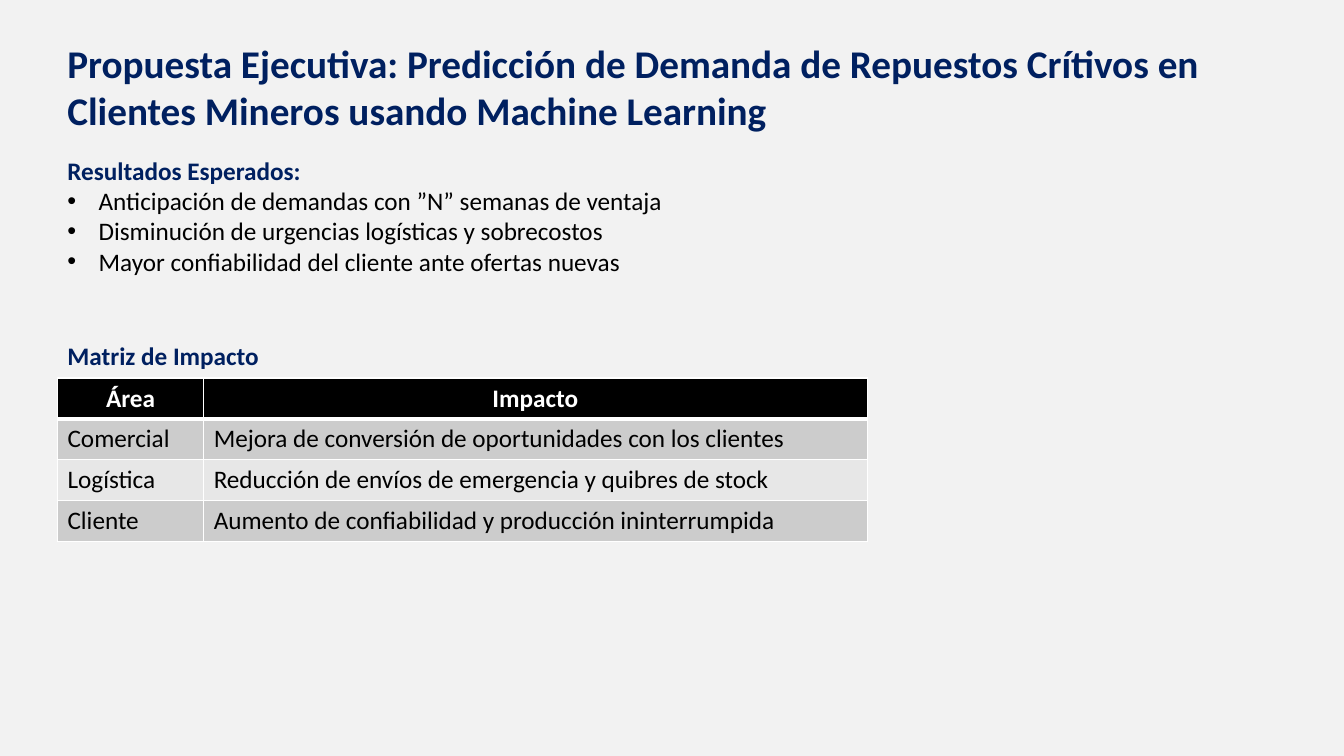
from lxml import etree
from pptx import Presentation
from pptx.dml.color import RGBColor
from pptx.enum.text import MSO_ANCHOR, MSO_AUTO_SIZE, PP_ALIGN
from pptx.oxml.ns import qn
from pptx.util import Emu, Pt

PX = 9144
POINT = 12700
BLANK_LAYOUT = 6
LEFT, CENTER = PP_ALIGN.LEFT, PP_ALIGN.CENTER
TOP = MSO_ANCHOR.TOP
GROW = MSO_AUTO_SIZE.SHAPE_TO_FIT_TEXT

NAVY, BLACK, WHITE = "002060", "000000", "FFFFFF"
BACKGROUND = "F2F2F2"
BANDS = ["CCCCCC", "E7E7E7"]

TITLE_FORMAT = {"size": Pt(28), "bold": True}
HEADING_FORMAT = {"size": Pt(18), "bold": True}
BODY_FORMAT = {"size": Pt(18), "bold": False}

TITLE = ("Propuesta Ejecutiva: Predicción de Demanda de Repuestos Crítivos en "
         "Clientes Mineros usando Machine Learning")
RESULTS = [
    "Anticipación de demandas con ”N” semanas de ventaja",
    "Disminución de urgencias logísticas y sobrecostos",
    "Mayor confiabilidad del cliente ante ofertas nuevas",
]
IMPACTS = [
    ("Área", "Impacto"),
    ("Comercial", "Mejora de conversión de oportunidades con los clientes"),
    ("Logística", "Reducción de envíos de emergencia y quibres de stock"),
    ("Cliente", "Aumento de confiabilidad y producción ininterrumpida"),
]
COLUMN_WIDTHS = [145, 658]


def px(length):
    return Emu(length * PX)


def color(value):
    return RGBColor.from_string(value)


def write(para, text, values, ink, align=LEFT):
    para.alignment = align
    span = para.add_run()
    span.text = text
    span.font.name = "Calibri"
    span.font.color.rgb = color(ink)
    for name, value in values.items():
        setattr(span.font, name, value)


def add_bullet(para):
    properties = para._p.get_or_add_pPr()
    indent = px(31)
    properties.set("marL", str(indent))
    properties.set("indent", str(-indent))
    etree.SubElement(properties, qn("a:buFont"), typeface="Arial")
    etree.SubElement(properties, qn("a:buChar"), char="•")


def add_text(page, box, heading, values, bullets=(), wrap=False):
    frame = page.shapes.add_textbox(*map(px, box)).text_frame
    settings = {"word_wrap": wrap, "auto_size": GROW, "vertical_anchor": TOP}
    for name, value in settings.items():
        setattr(frame, name, value)
    write(frame.paragraphs[0], heading, values, NAVY)
    for bullet in bullets:
        para = frame.add_paragraph()
        write(para, bullet, BODY_FORMAT, BLACK)
        add_bullet(para)


def add_borders(cell, widths):
    properties = cell._tc.get_or_add_tcPr()
    for position, (side, width) in enumerate(widths.items()):
        line = etree.Element(qn(f"a:ln{side}"), w=str(width * POINT))
        fill = etree.SubElement(line, qn("a:solidFill"))
        etree.SubElement(fill, qn("a:srgbClr"), val=WHITE)
        properties.insert(position, line)


def add_impact_table(page, box):
    rows, columns = len(IMPACTS), len(COLUMN_WIDTHS)
    table = page.shapes.add_table(rows, columns, *map(px, box)).table
    for column, width in zip(table.columns, COLUMN_WIDTHS):
        column.width = px(width)
    for row_index, texts in enumerate(IMPACTS):
        header = row_index == 0
        fill = BLACK if header else BANDS[(row_index - 1) % 2]
        values = HEADING_FORMAT if header else BODY_FORMAT
        ink = WHITE if header else BLACK
        align = CENTER if header else LEFT
        widths = {"L": 1, "R": 1, "T": 3 if row_index == 1 else 1, "B": 3 if header else 1}
        for column_index, text in enumerate(texts):
            cell = table.cell(row_index, column_index)
            cell.fill.solid()
            cell.fill.fore_color.rgb = color(fill)
            write(cell.text_frame.paragraphs[0], text, values, ink, align)
            add_borders(cell, widths)


def add_proposal(deck):
    page = deck.slides.add_slide(deck.slide_layouts[BLANK_LAYOUT])
    page.background.fill.solid()
    page.background.fill.fore_color.rgb = color(BACKGROUND)
    left = 57
    add_text(page, (left, 149, 612, 131), "Resultados Esperados:", HEADING_FORMAT, RESULTS)
    add_text(page, (left, 333, 212, 40), "Matriz de Impacto", HEADING_FORMAT)
    add_impact_table(page, (left, 375, sum(COLUMN_WIDTHS), 162))
    add_text(page, (left, 34, 1190, 104), TITLE, TITLE_FORMAT, wrap=True)


def main():
    deck = Presentation()
    deck.slide_width, deck.slide_height = px(1333), px(750)
    add_proposal(deck)
    deck.save("out.pptx")


if __name__ == "__main__":
    main()
